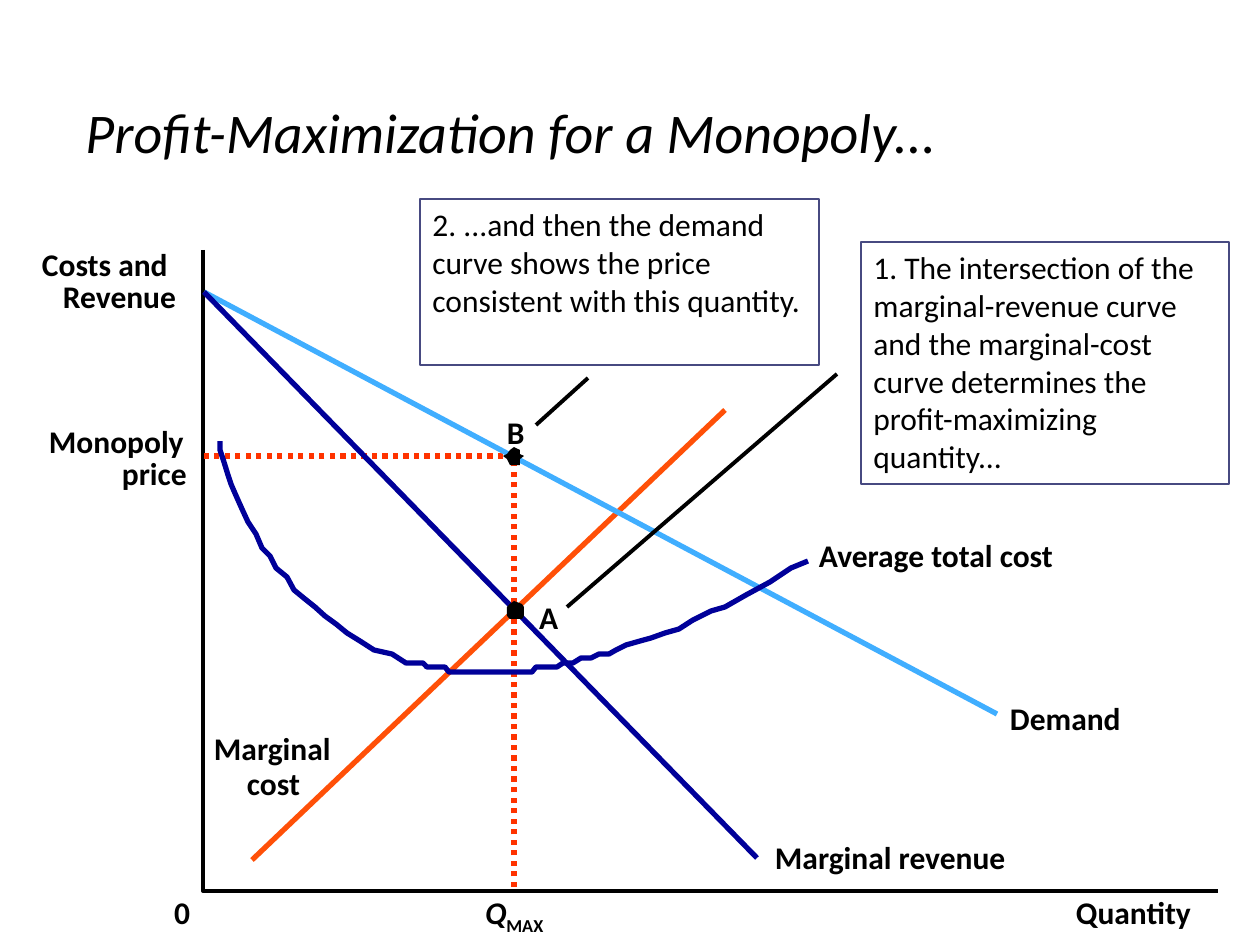
import pptx
import pptx.util
import pptx.dml.color
import pptx.enum.dml
import pptx.enum.shapes
import pptx.enum.text
import pptx.oxml.ns
import lxml.etree

THEME = {
    "font": "Calibri",
    "ink": "000000", "frame": "474A81", "guide": "FF3300",
    "rise": "FF5008", "sky": "40AEFF", "navy": "000099",
    "title": 32, "body": 18,
    "thin": 1, "mid": 2.25, "thick": 3,
}

TITLE = ("Profit-Maximization for a Monopoly...", (73, 53, 1103, 157))

LABELS = [
    ("Monopoly", 49, 422, 154),
    ("price", 122, 454, 78),
    ("Quantity", 1076, 893, 137),
    ("0", 174, 893, 20),
    ("Costs and", 42, 245, 154),
    ("Revenue", 63, 277, 137),
    ("Demand", 1010, 699, 131),
    ("Average total cost", 819, 536, 287),
    ("Marginal revenue", 775, 838, 276),
    ("Marginal", 214, 729, 139),
    ("cost", 247, 764, 66),
    ("A", 539, 598, 22),
    ("B", 507, 413, 22),
]
OUTPUT = ("Q", "MAX", 485, 893, 72)

NOTES = [
    ("1. The intersection of the marginal-revenue curve and the marginal-cost "
     "curve determines the profit-maximizing quantity...", (861, 242, 368, 242)),
    ("2. ...and then the demand curve shows the price consistent with this "
     "quantity.", (420, 199, 399, 166)),
]

AXES = [(203, 250), (203, 891), (1218, 891)]
GUIDES = [(514, 887), (514, 456), (203, 456)]
LINES = [
    ((725, 410), (252, 860), "rise", "thick"),
    ((204, 292), (997, 714), "sky", "thick"),
    ((204, 292), (757, 858), "navy", "thick"),
    ((567, 607), (837, 374), "ink", "mid"),
    ((536, 425), (588, 378), "ink", "mid"),
]
DOTS = [
    [(514, 465), (520, 465), (520, 459), (524, 456), (520, 454), (520, 450),
     (514, 447), (510, 450), (507, 454), (503, 456), (507, 459), (510, 465)],
    [(514, 619), (522, 619), (524, 616), (524, 607), (522, 604), (514, 601),
     (510, 604), (507, 607), (507, 616), (510, 619)],
]
COST = [
    (220, 441), (220, 450), (224, 462), (228, 475), (231, 484), (234, 491),
    (238, 500), (242, 509), (248, 522), (256, 534), (262, 548), (270, 556),
    (276, 568), (287, 577), (294, 590), (305, 599), (315, 607), (325, 616),
    (336, 624), (347, 633), (360, 641), (374, 650), (392, 654), (406, 663),
    (423, 663), (427, 667), (445, 667), (449, 672), (532, 672), (536, 667),
    (557, 667), (563, 663), (573, 663), (581, 658), (591, 658), (599, 654),
    (609, 654), (616, 650), (626, 645), (640, 641), (651, 638), (665, 633),
    (679, 629), (693, 620), (711, 611), (725, 607), (746, 595), (770, 582),
    (791, 568), (808, 561),
]

SCALE = 914400 / 126
ROW = 38
FLUSH = dict.fromkeys(
    ("margin_left", "margin_right", "margin_top", "margin_bottom"), 0)


def emu(*vals):
    return [round(val * SCALE) for val in vals]


def color(name):
    return pptx.dml.color.RGBColor.from_string(THEME[name])


def apply(item, vals):
    for key, val in vals.items():
        setattr(item, key, val)


def write(shape, runs, size, style, frame):
    text = shape.text_frame
    apply(text, {"word_wrap": True,
                 "auto_size": pptx.enum.text.MSO_AUTO_SIZE.NONE,
                 "vertical_anchor": pptx.enum.text.MSO_ANCHOR.TOP, **frame})
    para = text.paragraphs[0]
    para.alignment = pptx.enum.text.PP_ALIGN.LEFT
    for words, extra in runs:
        run = para.add_run()
        run.text = words
        apply(run.font, {"name": THEME["font"],
                         "size": pptx.util.Pt(THEME[size]), **style, **extra})
        run.font.color.rgb = color("ink")
    return para


def stroke(shape, name, width):
    shape.line.color.rgb = color(name)
    shape.line.width = pptx.util.Pt(THEME[width])


def trace(points, close=False):
    maker = shapes.build_freeform(*points[0], scale=SCALE)
    maker.add_line_segments(points[1:], close=close)
    shape = maker.convert_to_shape()
    shape.shadow.inherit = False
    shape.fill.background()
    return shape


def label(runs, left, top, width):
    box = shapes.add_textbox(*emu(left, top, width, ROW))
    return write(box, runs, "body", {"bold": True}, FLUSH)


deck = pptx.Presentation()
apply(deck, {"slide_width": pptx.util.Inches(10),
             "slide_height": pptx.util.Inches(7.5)})
shapes = deck.slides.add_slide(deck.slide_layouts[6]).shapes

words, area = TITLE
write(shapes.add_textbox(*emu(*area)), [(words, {})], "title", {"italic": True},
      {"vertical_anchor": pptx.enum.text.MSO_ANCHOR.MIDDLE})

stroke(trace(AXES), "ink", "mid")
guide = trace(GUIDES)
stroke(guide, "guide", "thick")
guide.line.dash_style = pptx.enum.dml.MSO_LINE.ROUND_DOT

for start, end, name, width in LINES:
    line = shapes.add_connector(pptx.enum.shapes.MSO_CONNECTOR.STRAIGHT,
                                *emu(*start, *end))
    stroke(line, name, width)
    lxml.etree.SubElement(line._element.spPr,
                          pptx.oxml.ns.qn("a:effectLst"))

for points in DOTS:
    dot = trace(points, True)
    dot.fill.solid()
    dot.fill.fore_color.rgb = color("ink")
    dot.line.fill.background()

stroke(trace(COST), "navy", "thick")

for words, *place in LABELS:
    label([(words, {})], *place)
base, sub, *place = OUTPUT
para = label([(base, {"italic": True}), (sub, {})], *place)
para.runs[1]._r.get_or_add_rPr().set("baseline", "-25000")

for words, area in NOTES:
    note = shapes.add_shape(pptx.enum.shapes.MSO_SHAPE.RECTANGLE, *emu(*area))
    note.shadow.inherit = False
    note.fill.background()
    stroke(note, "frame", "thin")
    write(note, [(words, {})], "body", {}, {})

deck.save("out.pptx")
